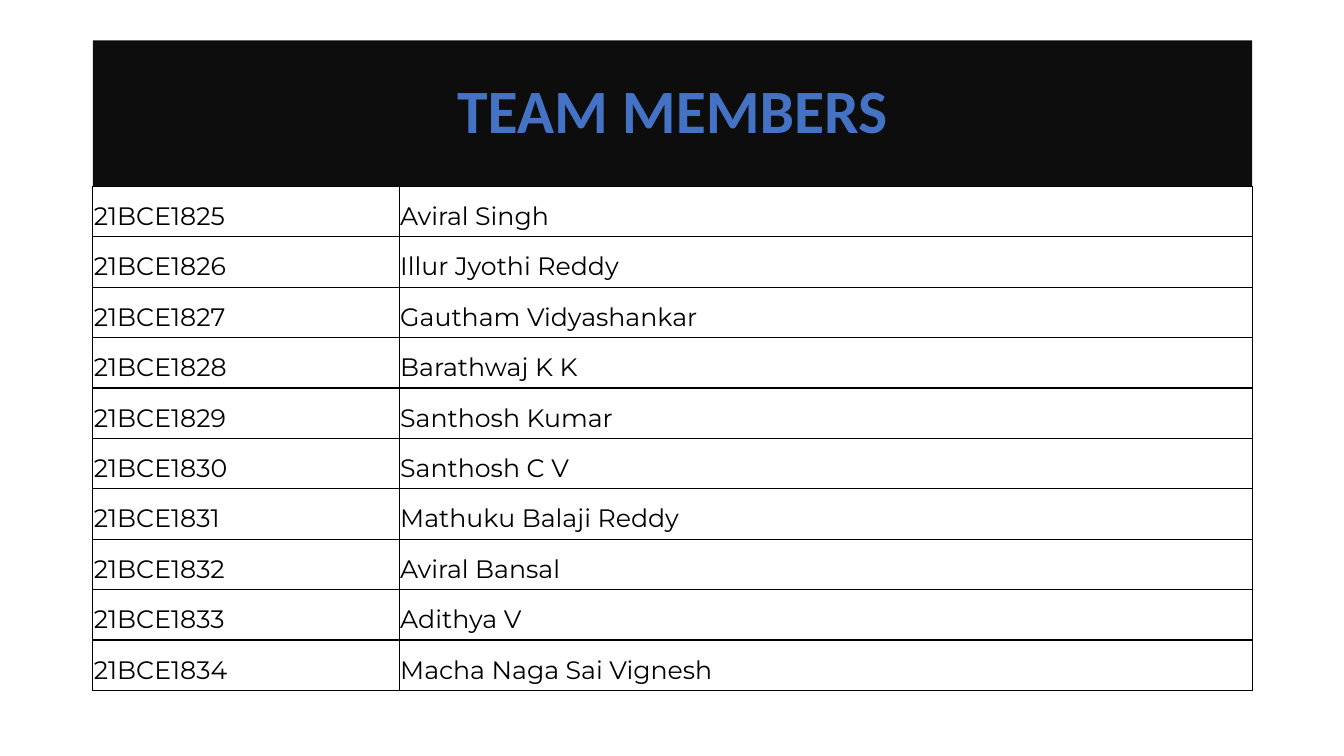
from dataclasses import dataclass

from lxml import etree
from pptx import Presentation
from pptx import util as u
from pptx.dml.color import RGBColor
from pptx.enum import text
from pptx.oxml.ns import qn
from pptx.slide import Slide
from pptx.table import _Cell as Cell

PX = 9144  # EMU in one px, at 100 px to the inch


@dataclass(frozen=True)
class Theme:
    banner: str = "0D0D0D"
    heading: str = "4472C4"
    outline: str = "FFFFFF"
    ink: str = "000000"
    heading_font: str = "Calibri"
    body_font: str = "Montserrat"
    heading_size: int = 44
    body_size: int = 18
    outline_width: float = 0.75
    border_width: float = 1


@dataclass(frozen=True)
class Member:
    number: str
    name: str


THEME = Theme()
LEFT, TOP, WIDTH, BANNER_HEIGHT = 92, 40, 1150, 145
ROW_HEIGHT = 50
COLUMN_WIDTHS = (304, 846)
FIRST_NUMBER = 1825
NAMES = (
    "Aviral Singh",
    "Illur Jyothi Reddy",
    "Gautham Vidyashankar",
    "Barathwaj K K",
    "Santhosh Kumar",
    "Santhosh C V",
    "Mathuku Balaji Reddy",
    "Aviral Bansal",
    "Adithya V",
    "Macha Naga Sai Vignesh",
)
MEMBERS = [Member(f"21BCE{number}", name) for number, name in enumerate(NAMES, FIRST_NUMBER)]


def px(length: int) -> u.Emu:
    return u.Emu(length * PX)


def make_line(tag: str, color: str, width: float) -> etree._Element:
    line = etree.Element(qn(tag), w=str(u.Pt(width)))
    fill = etree.SubElement(line, qn("a:solidFill"))
    etree.SubElement(fill, qn("a:srgbClr"), val=color)
    return line


def add_banner(page: Slide) -> None:
    title = page.shapes.title
    title.left, title.top = px(LEFT), px(TOP)
    title.width, title.height = px(WIDTH), px(BANNER_HEIGHT)
    title.fill.solid()
    title.fill.fore_color.rgb = RGBColor.from_string(THEME.banner)
    frame = title.text_frame
    frame.text = "TEAM MEMBERS"
    frame.auto_size = text.MSO_AUTO_SIZE.NONE
    frame.vertical_anchor = text.MSO_ANCHOR.MIDDLE
    para = frame.paragraphs[0]
    para.alignment = text.PP_ALIGN.CENTER
    para.line_spacing = 0.9
    font = para.font
    font.name, font.size, font.bold = THEME.heading_font, u.Pt(THEME.heading_size), True
    font.color.rgb = RGBColor.from_string(THEME.heading)
    span = para.runs[0]._r.get_or_add_rPr()
    span.insert(0, make_line("a:ln", THEME.outline, THEME.outline_width))


def fill_cell(cell: Cell, words: str) -> None:
    cell.text = words
    cell.vertical_anchor = text.MSO_ANCHOR.BOTTOM
    cell.margin_left = cell.margin_top = cell.margin_right = px(1)
    cell.margin_bottom = px(5)
    font = cell.text_frame.paragraphs[0].font
    font.name, font.size = THEME.body_font, u.Pt(THEME.body_size)
    font.color.rgb = RGBColor.from_string(THEME.ink)
    cell.fill.background()
    properties = cell._tc.get_or_add_tcPr()
    for place, side in enumerate("LRTB"):
        properties.insert(place, make_line(f"a:ln{side}", THEME.ink, THEME.border_width))


def add_member_table(page: Slide) -> None:
    frame = page.shapes.add_table(
        len(MEMBERS), len(COLUMN_WIDTHS),
        px(LEFT), px(TOP + BANNER_HEIGHT), px(WIDTH), px(ROW_HEIGHT * len(MEMBERS)),
    )
    table = frame.table
    table.first_row = table.horz_banding = False
    for column, width in zip(table.columns, COLUMN_WIDTHS):
        column.width = px(width)
    for row, member in zip(table.rows, MEMBERS):
        row.height = px(ROW_HEIGHT)
        for cell, words in zip(row.cells, (member.number, member.name)):
            fill_cell(cell, words)


def main() -> None:
    deck = Presentation()
    deck.slide_width, deck.slide_height = px(1333), px(750)
    page = deck.slides.add_slide(deck.slide_layouts.get_by_name("Title Only"))
    add_banner(page)
    add_member_table(page)
    deck.save("out.pptx")


if __name__ == "__main__":
    main()
